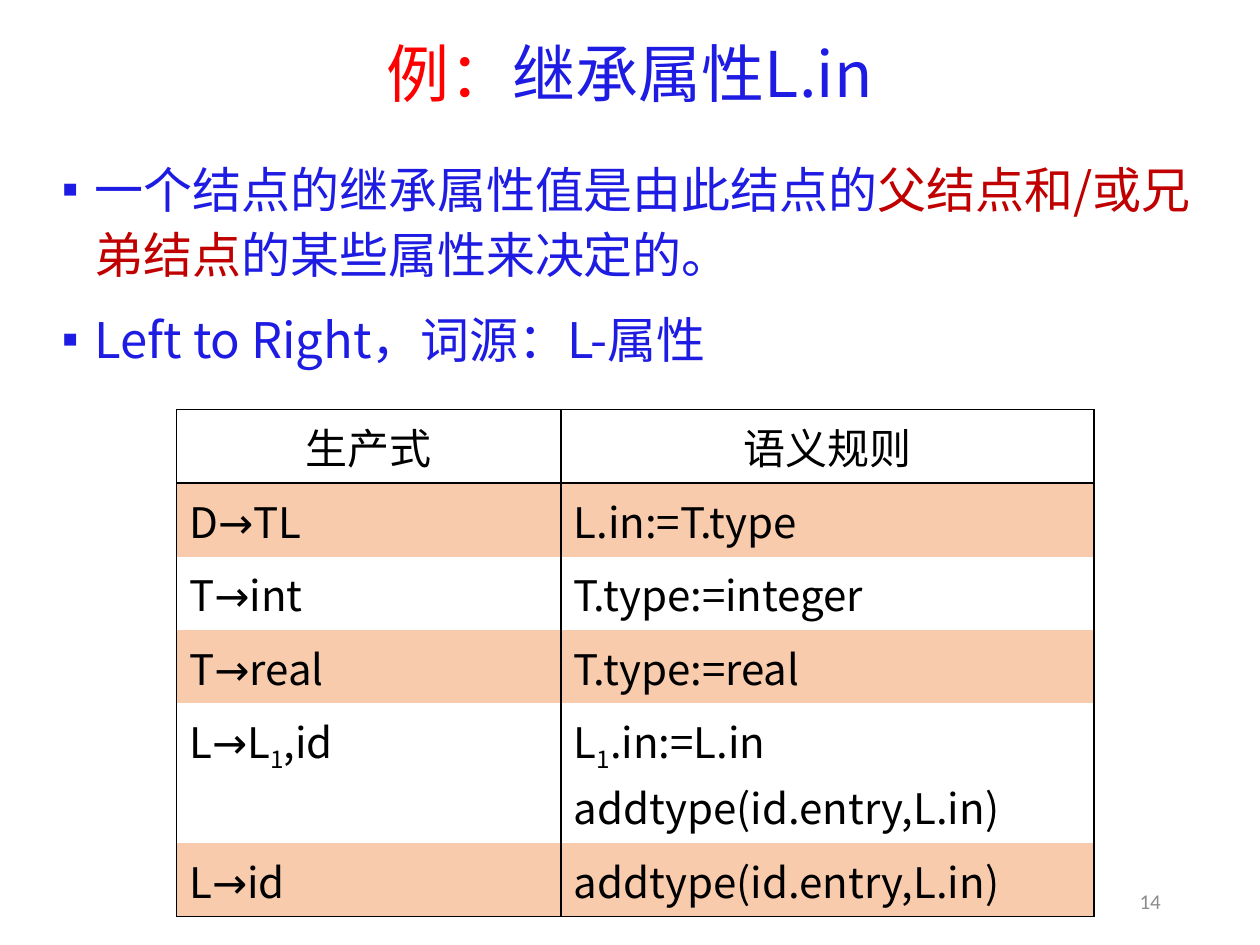
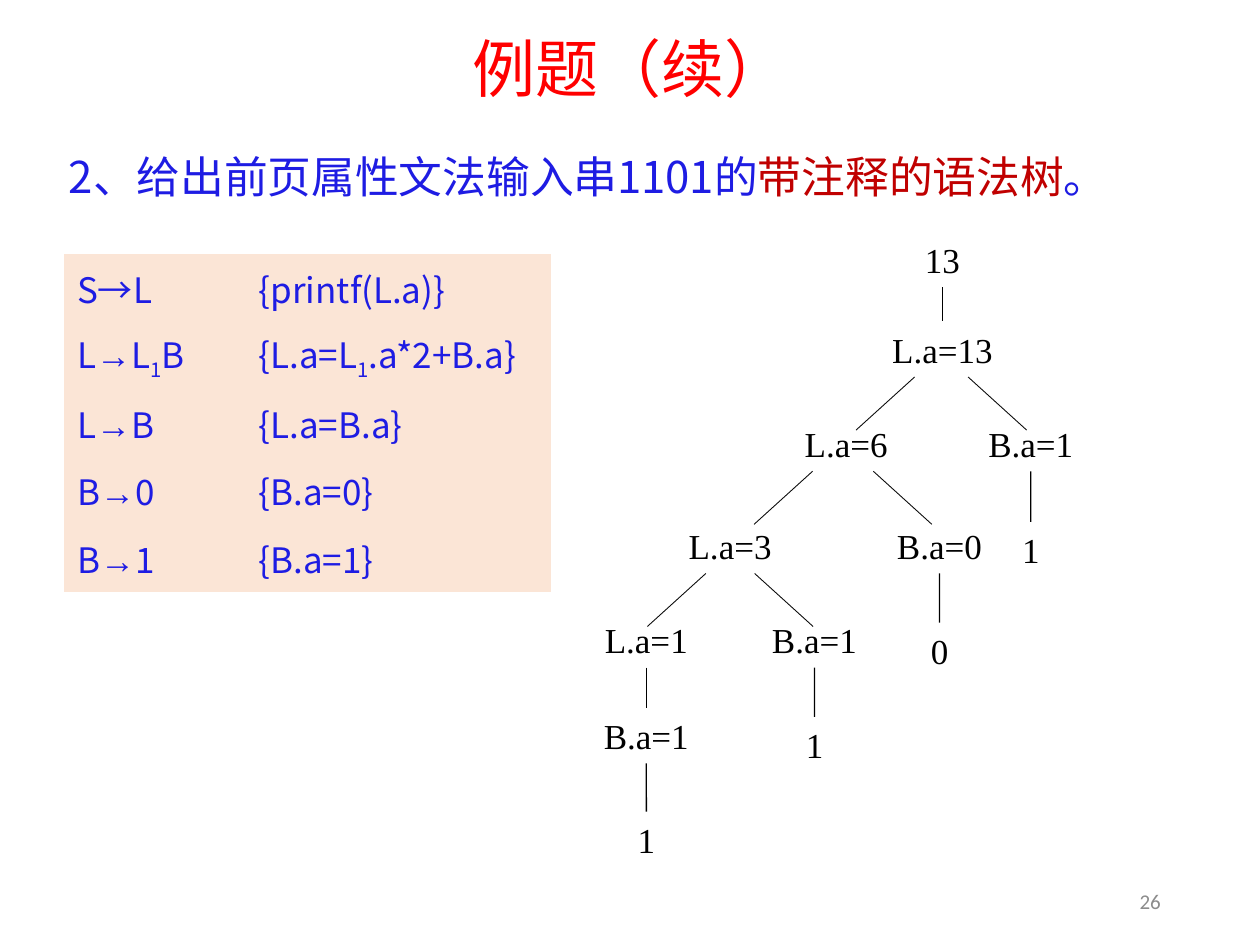
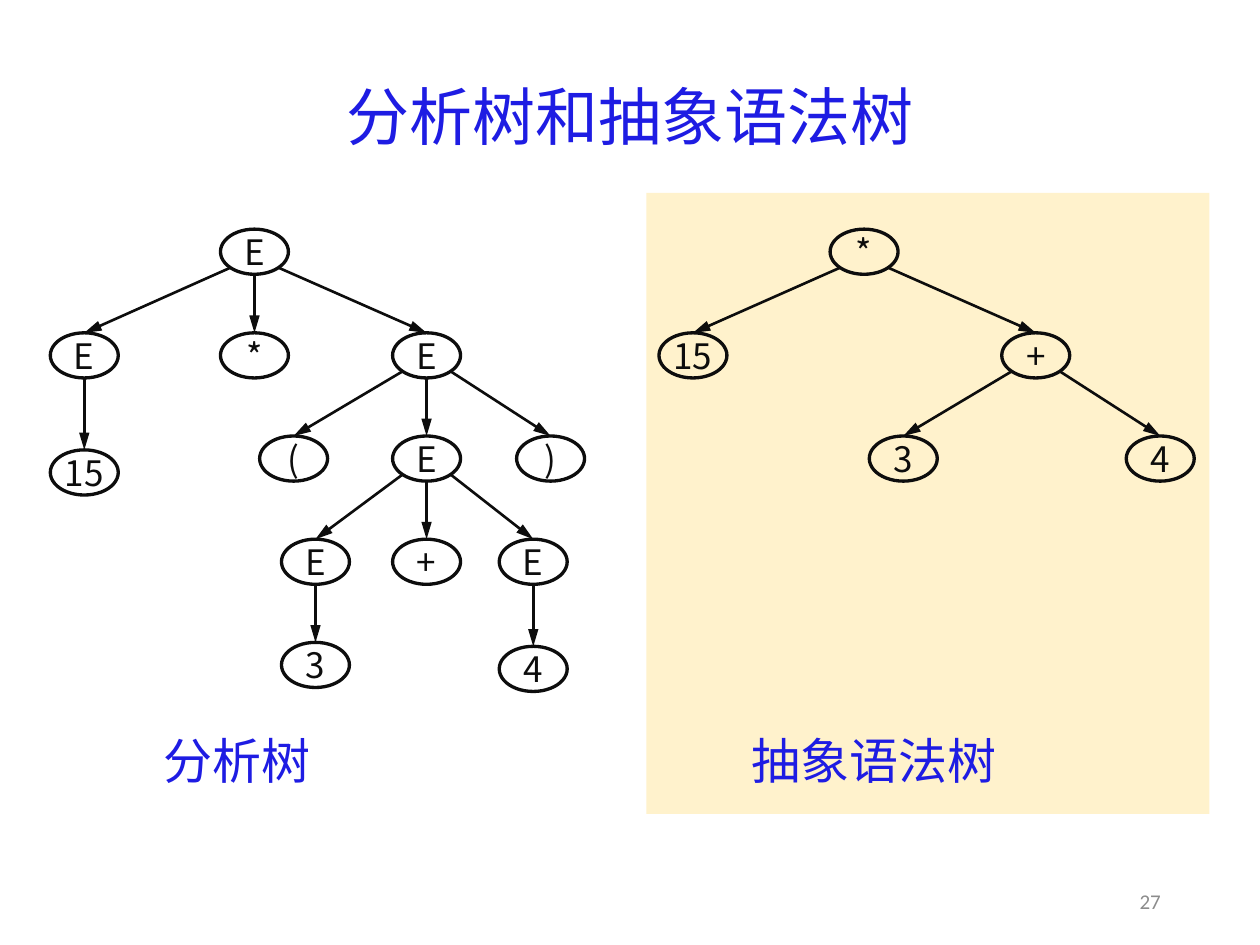
from itertools import groupby
from math import copysign, sqrt

from lxml.etree import SubElement
from pptx import Presentation
from pptx.dml.color import RGBColor
from pptx.enum.shapes import MSO_CONNECTOR, MSO_SHAPE
from pptx.enum.text import MSO_ANCHOR, PP_ALIGN
from pptx.oxml.ns import qn
from pptx.util import Cm, Pt

COLORS = {
    "blue": "1E1CE3", "red": "FF0000", "crimson": "C00000", "gray": "8C8C8C",
    "black": "000000", "ink": "0D0D0D", "peach": "F8CBAD",
    "pale_peach": "FBE5D6", "cream": "FFF2CC",
}
BODY_FONT = "Noto Sans CJK SC"
NO_GRID_STYLE = "{2D5ABB26-0587-4C30-8999-92F81FD0307C}"

TITLE = {"name": "Noto Sans CJK JP", "size": Pt(36), "color": "blue"}
BODY = {"name": BODY_FONT, "size": Pt(28), "color": "blue"}
QUESTION = {**BODY, "size": Pt(25)}
GRAMMAR = {**BODY, "size": Pt(20)}
RULES = {"name": BODY_FONT, "size": Pt(24), "color": "black"}
PAGE_NUMBER = {"name": "Calibri", "size": Pt(12), "color": "gray"}
ATTRIBUTE = {"name": "Times New Roman", "size": Pt(20), "color": "black"}
SYMBOL = {"name": BODY_FONT, "size": Pt(20), "color": "ink"}

CENTERED = {"alignment": PP_ALIGN.CENTER}
SPACED = {"space_before": Pt(6), "space_after": Pt(6)}

ATTRIBUTE_HEIGHT = 1.12
OVAL_WIDTH, OVAL_HEIGHT = 1.37, 0.91
LEVELS = [4.62, 6.71, 8.79, 10.87, 12.95]

SEMANTIC_RULES = [
    ("生产式", "语义规则"),
    ("D→TL", "L.in:=T.type"),
    ("T→int", "T.type:=integer"),
    ("T→real", "T.type:=real"),
    ("L→L₁,id", "L₁.in:=L.in\naddtype(id.entry,L.in)"),
    ("L→id", "addtype(id.entry,L.in)"),
]
BINARY_GRAMMAR = [
    ("S→L", "{printf(L.a)}"),
    ("L→L₁B", "{L.a=L₁.a*2+B.a}"),
    ("L→B", "{L.a=B.a}"),
    ("B→0", "{B.a=0}"),
    ("B→1", "{B.a=1}"),
]
ANNOTATED_TREE = (
    "13", 19, 4.67,
    ("L.a=13", 19, 6.48,
     ("L.a=6", 17.06, 8.38,
      ("L.a=3", 14.72, 10.44,
       ("L.a=1", 13.03, 12.34,
        ("B.a=1", 13.03, 14.27, ("1", 13.03, 16.36))),
       ("B.a=1", 16.42, 12.34, ("1", 16.42, 14.45))),
      ("B.a=0", 18.94, 10.44, ("0", 18.94, 12.55))),
     ("B.a=1", 20.78, 8.38, ("1", 20.78, 10.52))),
)
PARSE_TREE = (
    "E", 5.13, LEVELS[0],
    ("E", 1.7, LEVELS[1], ("15", 1.7, 9.07)),
    ("*", 5.13, LEVELS[1]),
    ("E", 8.6, LEVELS[1],
     ("(", 5.92, LEVELS[2]),
     ("E", 8.6, LEVELS[2],
      ("E", 6.36, LEVELS[3], ("3", 6.36, LEVELS[4])),
      ("+", 8.6, LEVELS[3]),
      ("E", 10.75, LEVELS[3], ("4", 10.75, 13.03))),
     (")", 11.1, LEVELS[2])),
)
SYNTAX_TREE = (
    "*", 17.42, LEVELS[0],
    ("15", 13.97, LEVELS[1]),
    ("+", 20.88, LEVELS[1],
     ("3", 18.21, LEVELS[2]),
     ("4", 23.39, LEVELS[2])),
)


def rgb(color):
    """Return the palette colour of this name."""
    return RGBColor.from_string(COLORS[color])


def set_values(target, values):
    """Set each named attribute on the target."""
    for name, value in values.items():
        setattr(target, name, value)


def write(paragraph, runs, look, layout):
    """Fill a paragraph with (text, changes) runs in a base look."""
    set_values(paragraph, layout)
    for text, changes in runs:
        run = paragraph.add_run()
        run.text = text
        values = {**look, **changes}
        run.font.color.rgb = rgb(values.pop("color"))
        baseline = values.pop("baseline", None)
        set_values(run.font, values)
        properties = run.font._element
        SubElement(properties, qn("a:ea"), typeface=values["name"])
        if baseline:
            properties.set("baseline", baseline)


def write_lines(frame, lines, look, layout):
    """Write one paragraph for each list of runs."""
    for number, runs in enumerate(lines):
        paragraph = frame.add_paragraph() if number else frame.paragraphs[0]
        write(paragraph, runs, look, layout)


def add_text(slide, box, lines, look, layout, anchor=MSO_ANCHOR.TOP, wrap=True):
    """Add a text box whose place is given in centimetres."""
    text_box = slide.shapes.add_textbox(*map(Cm, box))
    frame = text_box.text_frame
    set_values(frame, {"word_wrap": wrap, "vertical_anchor": anchor})
    write_lines(frame, lines, look, layout)
    return text_box


def add_title(slide, top, height, runs):
    """Add the centred slide title."""
    add_text(slide, (1.75, top, 21.89, height), [runs], TITLE,
             {**CENTERED, "line_spacing": 0.9}, MSO_ANCHOR.MIDDLE)


def add_page_number(slide, number):
    """Add the page number at the lower right."""
    add_text(slide, (17.93, 17.65, 5.72, 1.02), [[(str(number), {})]], PAGE_NUMBER,
             {"alignment": PP_ALIGN.RIGHT}, MSO_ANCHOR.MIDDLE)


def add_bullets(frame):
    """Give every paragraph a half-size square bullet."""
    for paragraph in frame.paragraphs:
        properties = paragraph._p.get_or_add_pPr()
        properties.set("marL", str(Cm(0.64)))
        properties.set("indent", str(-Cm(0.64)))
        SubElement(properties, qn("a:buSzPct"), val="50000")
        SubElement(properties, qn("a:buFont"), typeface="Arial")
        SubElement(properties, qn("a:buChar"), char="■")


def formula_runs(formula, arrow_font):
    """Split a formula into plain text, arrows and subscripts."""
    marks = {"→": ("→", {"name": arrow_font}), "₁": ("1", {"baseline": "-25000"})}
    return [marks.get(mark) or ("".join(chars), {})
            for mark, chars in groupby(formula, lambda c: c if c in marks else "")]


def add_table(slide, box, widths, heights):
    """Add an unstyled table with the given column widths and row heights."""
    frame = slide.shapes.add_table(len(heights), len(widths), *map(Cm, box))
    table = frame.table
    set_values(table, {"first_row": False, "horz_banding": False})
    table._tbl.tblPr.find(qn("a:tableStyleId")).text = NO_GRID_STYLE
    for column, width in zip(table.columns, widths):
        column.width = Cm(width)
    for row, height in zip(table.rows, heights):
        row.height = Cm(height)
    return table


def fill_cell(cell, text, arrow_font, look, layout, fill, anchor):
    """Write formulas into a cell and set its background."""
    lines = [formula_runs(line, arrow_font) for line in text.split("\n")]
    write_lines(cell.text_frame, lines, look, layout)
    cell.vertical_anchor = anchor
    if fill:
        cell.fill.solid()
        cell.fill.fore_color.rgb = rgb(fill)
    else:
        cell.fill.background()


def add_borders(cell, sides):
    """Draw thin black borders on the named sides of a cell."""
    properties = cell._tc.get_or_add_tcPr()
    for side in sides:
        border = SubElement(properties, qn(f"a:ln{side}"), w=str(Pt(1)))
        paint = SubElement(border, qn("a:solidFill"))
        SubElement(paint, qn("a:srgbClr"), val=COLORS["black"])


def add_line(slide, start, end, color, width, arrow=False):
    """Add a straight line, with an arrowhead at its end if asked."""
    line = slide.shapes.add_connector(MSO_CONNECTOR.STRAIGHT, *start, *end)
    line.line.color.rgb = rgb(color)
    line.line.width = Pt(width)
    if arrow:
        SubElement(line.line._get_or_add_ln(), qn("a:tailEnd"), type="triangle", len="lg")
    SubElement(line._element.spPr, qn("a:effectLst"))
    return line


def draw_tree(slide, tree, add_node, add_edge):
    """Draw a nested (label, centre, top, *children) tree and return its root."""
    label, center, top, *children = tree
    root = add_node(slide, label, center, top)
    for child in children:
        branch = draw_tree(slide, child, add_node, add_edge)
        add_edge(slide, root, branch, child[1] - center)
    return root


def add_attribute(slide, label, center, top):
    """Add an attribute value of the annotated tree."""
    width = 0.86 if len(label) == 1 else 2.8
    return add_text(slide, (center - width / 2, top, width, ATTRIBUTE_HEIGHT),
                    [[(label, {})]], ATTRIBUTE, CENTERED, MSO_ANCHOR.MIDDLE, False)


def add_branch(slide, parent, child, offset):
    """Join two attributes upright, or slant a short line to the child's side."""
    middle = parent.left + parent.width // 2
    bottom = parent.top + parent.height
    if offset:
        start = middle + Cm(0.29 * offset)
        end = start + Cm(copysign(1.18, offset))
        add_line(slide, (start, bottom), (end, bottom + Cm(1.07)), "ink", 0.5)
    else:
        stem = add_line(slide, (middle, bottom), (middle, child.top), "black", 0.75)
        stem.begin_connect(parent, 2)
        stem.end_connect(child, 0)


def add_symbol(slide, label, center, top):
    """Add a grammar symbol in an oval."""
    oval = slide.shapes.add_shape(
        MSO_SHAPE.OVAL, Cm(center - OVAL_WIDTH / 2), Cm(top), Cm(OVAL_WIDTH), Cm(OVAL_HEIGHT))
    oval.shadow.inherit = False
    oval.fill.background()
    oval.line.color.rgb = rgb("ink")
    oval.line.width = Pt(1.9)
    margins = dict.fromkeys(("margin_left", "margin_top", "margin_right", "margin_bottom"), 0)
    set_values(oval.text_frame, {**margins, "vertical_anchor": MSO_ANCHOR.MIDDLE})
    write_lines(oval.text_frame, [[(label, {})]], SYMBOL, CENTERED)
    return oval


def add_arrow(slide, parent, child, offset):
    """Point from the rim of a parent oval to the top of its child."""
    side = copysign(1 / sqrt(2), offset) if offset else 0
    drop = 1 / sqrt(2) if offset else 1
    start = (int(parent.left + parent.width * (1 + side) / 2),
             int(parent.top + parent.height * (1 + drop) / 2))
    arrow = add_line(slide, start, (child.left, child.top), "ink", 1.5, True)
    arrow.end_connect(child, 0)


def build_inherited_attribute(slide):
    """Explain the inherited attribute L.in with its semantic rules."""
    add_title(slide, 0.46, 2.21, [("例：", {"color": "red"}), ("继承属性L.in", {})])
    definition = [
        [("一个结点的继承属性值是由此结点的", {}),
         ("父结点和/或兄弟结点", {"color": "crimson"}),
         ("的某些属性来决定的。", {})],
        [("Left to Right，词源：L-属性", {})],
    ]
    points = add_text(slide, (1.02, 2.97, 23.42, 4.47), definition, BODY,
                      {**SPACED, "line_spacing": 1.1})
    add_bullets(points.text_frame)
    add_page_number(slide, 14)

    heights = [1.48, 1.48, 1.48, 1.48, 2.82, 1.48]
    table = add_table(slide, (3.56, 8.26, 18.49, sum(heights)), (7.75, 10.74), heights)
    last = len(SEMANTIC_RULES) - 1
    for row, texts in enumerate(SEMANTIC_RULES):
        sides = {0: "LRTB", last: "LRB"}.get(row, "LR")
        for column, text in enumerate(texts):
            cell = table.cell(row, column)
            add_borders(cell, sides)
            fill_cell(cell, text, "Comic Neue", RULES, {} if row else CENTERED,
                      "peach" if row % 2 else None, MSO_ANCHOR.TOP)


def build_annotated_tree(slide):
    """Show the annotated syntax tree of 1101."""
    add_title(slide, 0.61, 1.68, [("例题（续）", {"color": "red"})])
    question = [("2、给出前页属性文法输入串1101的", {}),
                ("带注释的语法树", {"color": "crimson"}), ("。", {})]
    add_text(slide, (1.14, 2.9, 23.29, 1.7), [question], QUESTION, SPACED)
    add_page_number(slide, 26)
    draw_tree(slide, ANNOTATED_TREE, add_attribute, add_branch)

    heights = [1.36] * len(BINARY_GRAMMAR)
    table = add_table(slide, (1.3, 5.13, 9.81, sum(heights)), (3.66, 6.15), heights)
    for row, texts in enumerate(BINARY_GRAMMAR):
        for column, text in enumerate(texts):
            fill_cell(table.cell(row, column), text, "Arial" if row else BODY_FONT,
                      GRAMMAR, {}, "pale_peach", MSO_ANCHOR.MIDDLE)


def build_tree_comparison(slide):
    """Set the parse tree beside the abstract syntax tree."""
    panel = slide.shapes.add_shape(
        MSO_SHAPE.RECTANGLE, Cm(13.03), Cm(3.89), Cm(11.35), Cm(12.52))
    panel.shadow.inherit = False
    panel.fill.solid()
    panel.fill.fore_color.rgb = rgb("cream")
    panel.line.fill.background()
    add_title(slide, 1.02, 2.82, [("分析树和抽象语法树", {})])
    add_page_number(slide, 27)
    for caption, left, width, tree in (("分析树", 3.05, 3.89, PARSE_TREE),
                                       ("抽象语法树", 14.91, 6.45, SYNTAX_TREE)):
        add_text(slide, (left, 14.6, width, 1.7), [[(caption, {})]], BODY,
                 {"space_after": Pt(6)})
        draw_tree(slide, tree, add_symbol, add_arrow)


def main():
    """Build the three slides and save them."""
    deck = Presentation()
    set_values(deck, {"slide_width": Cm(25.4), "slide_height": Cm(19.05)})
    for build in (build_inherited_attribute, build_annotated_tree, build_tree_comparison):
        build(deck.slides.add_slide(deck.slide_layouts[6]))
    deck.save("out.pptx")


if __name__ == "__main__":
    main()
